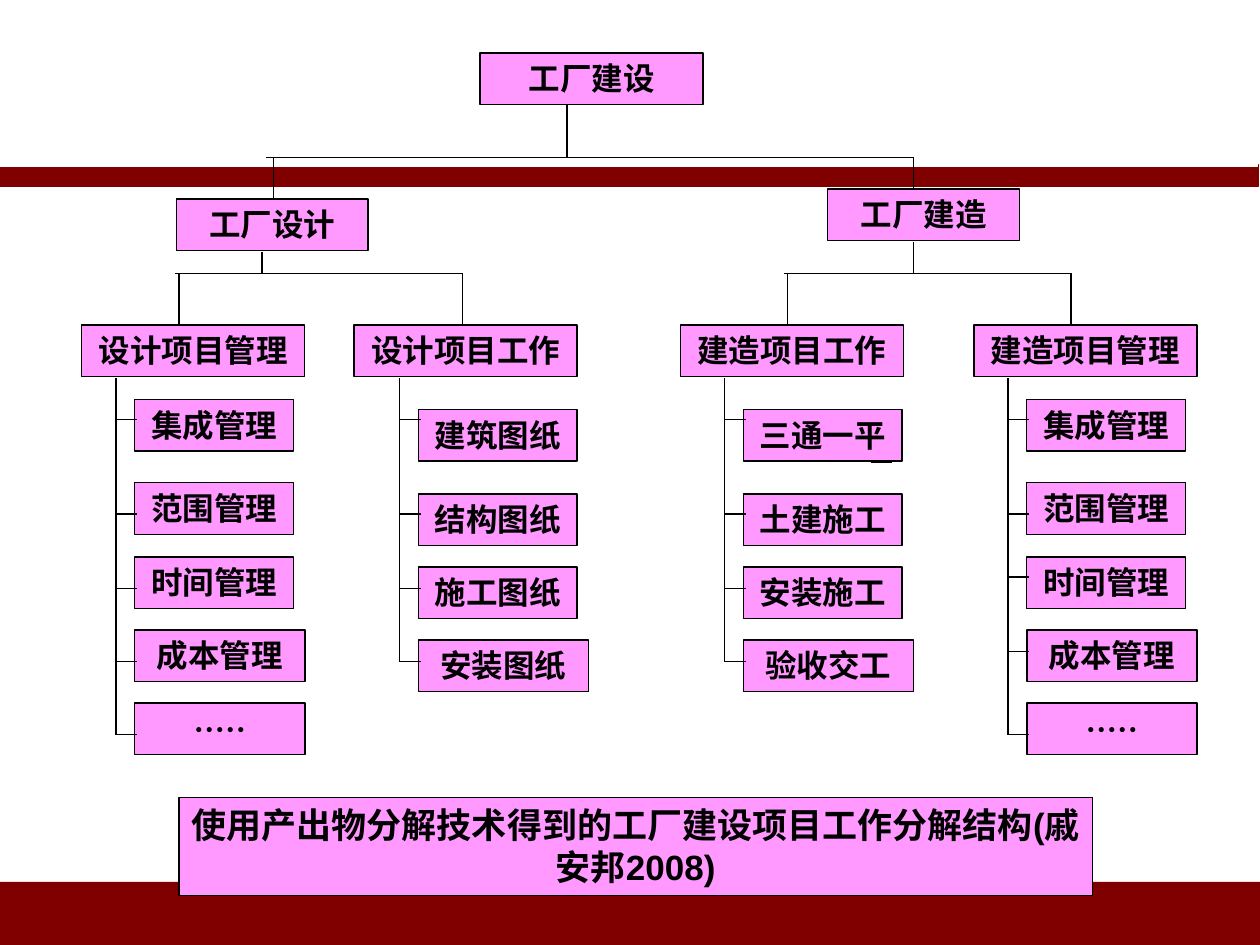
from pptx import Presentation
from pptx.dml.color import RGBColor
from pptx.enum import shapes, text
from pptx.oxml import ns, xmlchemy
from pptx.util import Inches, Pt

MAROON, PINK, WHITE, BLACK = "800000", "FF99FF", "FFFFFF", "000000"
BOX_HEIGHT = 0.41


def color(hex_string):
    return RGBColor.from_string(hex_string)


class Chart:
    """Holds the slide and the look of the work breakdown structure."""

    font = "Times New Roman"
    line_width = Pt(0.75)

    def __init__(self, slide):
        self.slide = slide

    def rect(self, left, top, width, height, fill, line=None):
        box = self.slide.shapes.add_shape(
            shapes.MSO_SHAPE.RECTANGLE,
            Inches(left), Inches(top), Inches(width), Inches(height))
        box.shadow.inherit = False
        box.fill.solid()
        box.fill.fore_color.rgb = color(fill)
        if line:
            box.line.color.rgb = color(line)
            box.line.width = self.line_width
        else:
            box.line.fill.background()
        return box

    def label(self, words, left, top, width, height=BOX_HEIGHT, size=18):
        box = self.rect(left, top, width, height, PINK, BLACK)
        frame = box.text_frame
        frame.word_wrap = True
        frame.vertical_anchor = text.MSO_ANCHOR.TOP
        para = frame.paragraphs[0]
        para.alignment = text.PP_ALIGN.CENTER
        para.font.size = Pt(size)
        para.font.bold = True
        para.font.name = self.font
        para.font.color.rgb = color(BLACK)
        para.add_run().text = words
        return para

    def line(self, x1, y1, x2, y2):
        link = self.slide.shapes.add_connector(
            shapes.MSO_CONNECTOR.STRAIGHT,
            Inches(x1), Inches(y1), Inches(x2), Inches(y2))
        link.line.color.rgb = color(BLACK)
        link.line.width = self.line_width
        properties = link._element.spPr
        properties.append(xmlchemy.OxmlElement("a:effectLst"))

    def fork(self, stem_x, stem_top, bar_left, bar_y, drops):
        """A stem down to a bar, and drops (x, bottom) from the bar."""
        self.line(stem_x, stem_top, stem_x, bar_y)
        self.line(bar_left, bar_y, drops[-1][0], bar_y)
        for x, bottom in drops:
            self.line(x, bar_y, x, bottom)

    def branch(self, heading, left, trunk, items, first_tops, ticks):
        self.label(heading, left, 2.58, 1.77)
        self.line(trunk, 3, trunk, ticks[-1])
        for index, (item, top, tick) in enumerate(zip(items, first_tops, ticks)):
            self.label(item, trunk + 0.15, top, 1.26 if index < 3 else 1.35)
            self.line(trunk, tick, trunk + 0.17, tick)


def main():
    deck = Presentation()
    deck.slide_width, deck.slide_height = Inches(10), Inches(7.5)
    chart = Chart(deck.slides.add_slide(deck.slide_layouts[6]))

    # Background bands
    chart.rect(0, 7, 10, 0.5, MAROON)
    chart.rect(-0.01, 1.31, 10, 0.17, MAROON, MAROON)
    chart.rect(-0.02, 0.01, 10, 1.31, WHITE, WHITE)

    # Upper two levels
    chart.label("工厂建设", 3.81, 0.42, 1.77)
    chart.label("工厂设计", 1.4, 1.58, 1.52)
    chart.label("工厂建造", 6.57, 1.5, 1.52)
    chart.fork(4.5, 0.83, 2.11, 1.25, [(2.17, 1.58), (7.25, 1.5)])
    chart.fork(2.08, 2, 1.39, 2.17, [(1.42, 2.58), (3.67, 2.58)])
    chart.fork(7.25, 1.92, 6.22, 2.17, [(6.25, 2.58), (8.5, 2.58)])

    # Branches with their work packages
    management = ["集成管理", "范围管理", "时间管理", "成本管理", "·····"]
    drawings = ["建筑图纸", "结构图纸", "施工图纸", "安装图纸"]
    construction = ["三通一平", "土建施工", "安装施工", "验收交工"]
    management_tops = [3.17, 3.83, 4.42, 5, 5.58]
    work_tops = [3.25, 3.92, 4.5, 5.08]
    ticks = [3.33, 4.08, 4.67, 5.25, 5.83]
    right_ticks = [3.33, 4.08, 4.58, 5.17, 5.83]
    for branch in (
        ("设计项目管理", 0.65, 0.92, management, management_tops, ticks),
        ("设计项目工作", 2.81, 3.17, drawings, work_tops, ticks[:4]),
        ("建造项目工作", 5.4, 5.75, construction, work_tops, ticks[:4]),
        ("建造项目管理", 7.73, 8, management, management_tops, right_ticks),
    ):
        chart.branch(*branch)
    chart.line(6.91, 3.67, 7.08, 3.67)

    # Caption
    para = chart.label("使用产出物分解技术得到的工厂建设项目工作分解结构",
                       1.42, 6.33, 7.25, 0.78, size=20)
    source = para.add_run()
    source.text = "(戚安邦2008)"
    source.font.name = "Arial"

    deck.save("out.pptx")


if __name__ == "__main__":
    main()
